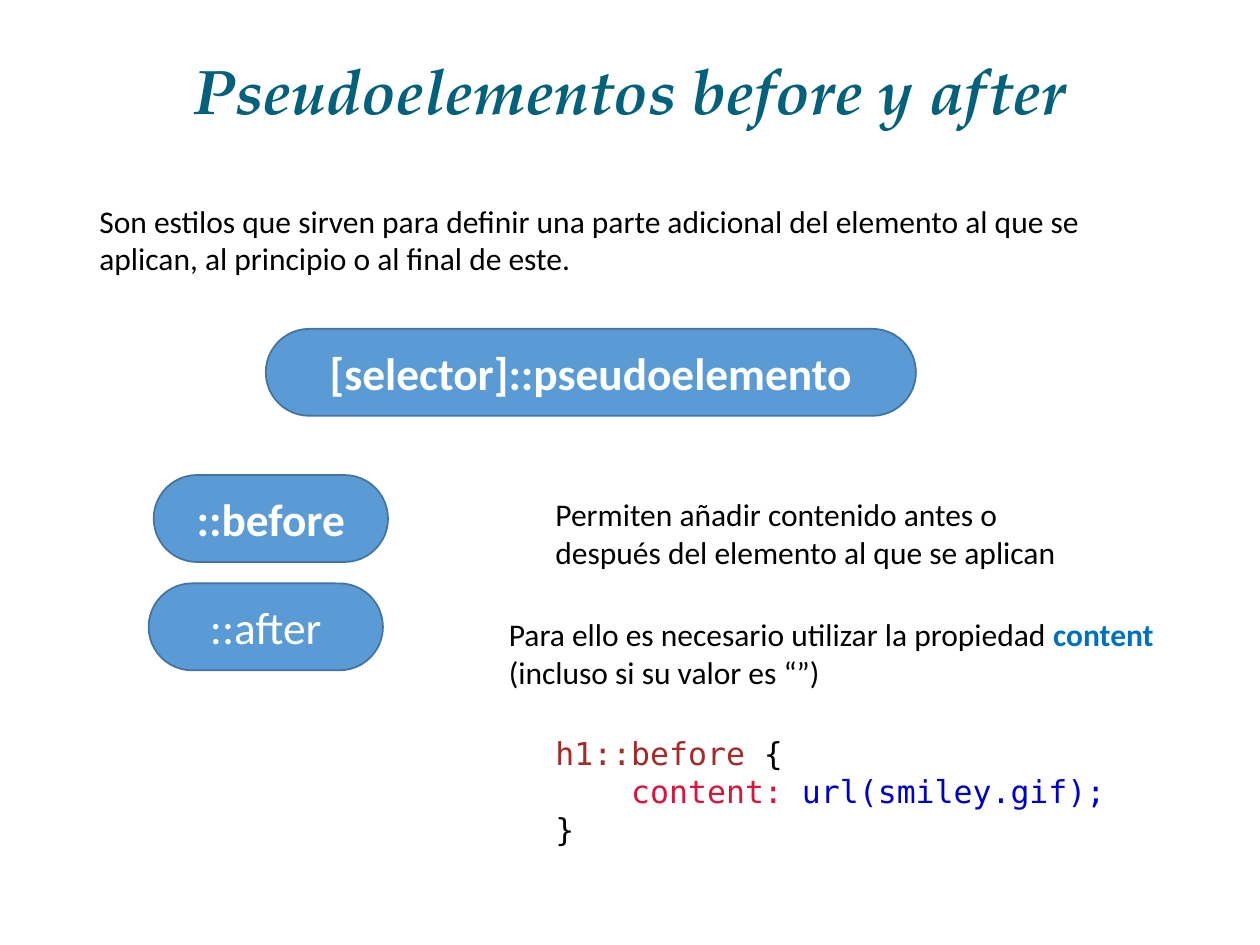
from pptx import Presentation
from pptx.dml.color import RGBColor as RGB
from pptx.enum.shapes import MSO_SHAPE as SHAPE
from pptx.enum.text import MSO_ANCHOR as ANCHOR, MSO_AUTO_SIZE as AUTO, PP_ALIGN as ALIGN
from pptx.util import Inches, Pt

THEME = {
    "title": {"name": "TeX Gyre Pagella", "size": Pt(36), "bold": True, "italic": True},
    "body": {"name": "Calibri", "size": Pt(18)},
    "pill": {"name": "Calibri", "size": Pt(25.9)},
    "code": {"name": "DejaVu Sans Mono", "size": Pt(18)},
    "teal": "04617B", "black": "000000", "white": "FFFFFF",
    "fill": "5B9BD5", "line": "43739E", "key": "0070C0",
    "selector": "A52A2A", "property": "DC143C", "value": "0000CD",
}
LEFT, WIDTH = 0.69, 8.62
PILL_H = 0.69


def write(p, style, runs):
    """Add (text, colour, bold) runs; a newline in a text becomes a line break."""
    for text, colour, bold in runs:
        for i, part in enumerate(text.split("\n")):
            if i:
                p.add_line_break()
            if part:
                r = p.add_run()
                r.text = part
                for key, value in {"bold": bold, **THEME[style]}.items():
                    setattr(r.font, key, value)
                r.font.color.rgb = RGB.from_string(THEME[colour])


prs = Presentation()
prs.slide_width, prs.slide_height = Inches(10), Inches(7.5)
s = prs.slides.add_slide(prs.slide_layouts[5])

# Title
title = s.shapes.title
title.left, title.top, title.width, title.height = map(Inches, (LEFT, 0.4, WIDTH, 0.7))
tf = title.text_frame
tf.auto_size, tf.vertical_anchor = AUTO.NONE, ANCHOR.MIDDLE
p = tf.paragraphs[0]
p.alignment, p.line_spacing = ALIGN.CENTER, 0.9
write(p, "title", [("Pseudoelementos before y after", "teal", True)])

# Syntax pills
pills = [
    (2.11, 2.61, 5.16, "[selector]::pseudoelemento", True),
    (1.22, 3.77, 1.86, "::before", True),
    (1.18, 4.63, 1.86, "::after", False),
]
for x, y, w, text, bold in pills:
    sp = s.shapes.add_shape(SHAPE.ROUNDED_RECTANGLE, *map(Inches, (x, y, w, PILL_H)))
    sp.adjustments[0] = 0.5
    sp.shadow.inherit = False
    sp.fill.solid()
    sp.fill.fore_color.rgb = RGB.from_string(THEME["fill"])
    sp.line.color.rgb = RGB.from_string(THEME["line"])
    sp.line.width = Pt(1)
    tf = sp.text_frame
    tf.vertical_anchor = ANCHOR.MIDDLE
    tf.word_wrap = False
    p = tf.paragraphs[0]
    p.alignment = ALIGN.CENTER
    write(p, "pill", [(text, "white", bold)])

# Explanations and code sample
texts = [
    (LEFT, 1.55, WIDTH, 0.71, "body", [
        ("Son estilos que sirven para definir una parte adicional del elemento "
         "al que se aplican, al principio o al final de este.", "black", False)]),
    (4.31, 3.88, 4.25, 0.71, "body", [
        ("Permiten añadir contenido antes o después del elemento al que se aplican",
         "black", False)]),
    (3.94, 4.83, 5.38, 0.71, "body", [
        ("Para ello es necesario utilizar la propiedad ", "black", False),
        ("content\n", "key", True),
        ("(incluso si su valor es “”)", "black", False)]),
    (4.31, 5.78, 5, 1.01, "code", [
        ("h1::before ", "selector", False),
        ("{\n    ", "black", False),
        ("content: ", "property", False),
        ("url(smiley.gif);\n", "value", False),
        ("}", "black", False)]),
]
for x, y, w, h, style, runs in texts:
    tf = s.shapes.add_textbox(*map(Inches, (x, y, w, h))).text_frame
    tf.word_wrap, tf.auto_size = True, AUTO.SHAPE_TO_FIT_TEXT
    write(tf.paragraphs[0], style, runs)

prs.save("out.pptx")
